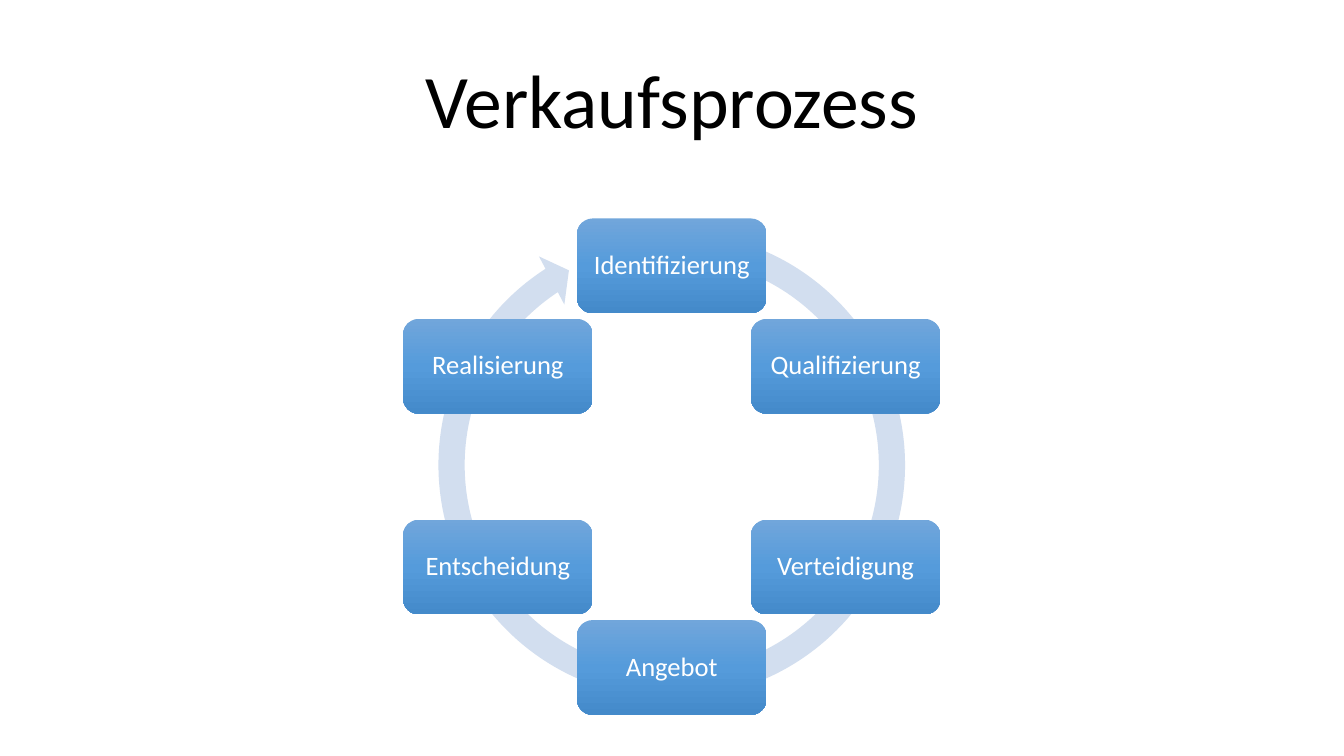
"""Build the slide showing the sales process as a cycle of six steps."""
from copy import deepcopy
from dataclasses import dataclass
from math import cos, radians, sin

from pptx import Presentation
from pptx.dml.color import RGBColor
from pptx.enum.shapes import MSO_SHAPE
from pptx.enum.text import MSO_ANCHOR, MSO_AUTO_SIZE, PP_ALIGN
from pptx.oxml.ns import qn
from pptx.shapes.autoshape import Shape
from pptx.shapes.shapetree import GroupShapes
from pptx.util import Cm, Pt

FONT = "Calibri"
CENTER_X, CENTER_Y, RADIUS = 16.93, 11.76, 5.06
RING_SIZE, RING_CENTER_Y = 12.47, 11.72
BOX_WIDTH, BOX_HEIGHT = 4.78, 2.39
BOX_GRADIENT = ((0, "71A6DB"), (0.5, "559BDB"), (1, "448ACA"))
DEGREE = 0.6


@dataclass(frozen=True)
class Step:
    """A step of the sales process and its clockwise angle from the top."""
    label: str
    angle: float


LABELS = ("Identifizierung", "Qualifizierung", "Verteidigung",
          "Angebot", "Entscheidung", "Realisierung")
STEPS = [Step(label, index * 360 / len(LABELS)) for index, label in enumerate(LABELS)]


def color(value: str) -> RGBColor:
    """Turn a hex string into a colour."""
    return RGBColor.from_string(value)


def set_text(shape: Shape, text: str, size: float, hex_color: str,
             anchor: MSO_ANCHOR) -> None:
    """Write one centred paragraph into a shape."""
    frame = shape.text_frame
    frame.text = text
    frame.word_wrap = True
    frame.auto_size = MSO_AUTO_SIZE.NONE
    frame.vertical_anchor = anchor
    paragraph = frame.paragraphs[0]
    paragraph.alignment = PP_ALIGN.CENTER
    paragraph.line_spacing = 0.9
    font = paragraph.runs[0].font
    font.name, font.size = FONT, Pt(size)
    font.color.rgb = color(hex_color)


def add_centered(shapes: GroupShapes, kind: MSO_SHAPE, center_x: float,
                 center_y: float, width: float, height: float) -> Shape:
    """Add a plain shape around a centre given in centimetres."""
    shape = shapes.add_shape(kind, Cm(center_x - width / 2), Cm(center_y - height / 2),
                             Cm(width), Cm(height))
    shape.shadow.inherit = False
    shape.line.fill.background()
    return shape


def fill_gradient(shape: Shape) -> None:
    """Fill a shape with the three-colour gradient from top to bottom."""
    shape.fill.gradient()
    shape.fill.gradient_angle = 270
    stop_list = shape._element.spPr.find(".//" + qn("a:gsLst"))
    stop_list.append(deepcopy(stop_list[-1]))
    for stop, (position, hex_color) in zip(shape.fill.gradient_stops, BOX_GRADIENT):
        stop.position = position
        stop.color.rgb = color(hex_color)


def add_ring(shapes: GroupShapes) -> None:
    """Add the circular arrow behind the steps."""
    ring = add_centered(shapes, MSO_SHAPE.CIRCULAR_ARROW, CENTER_X, RING_CENTER_Y,
                        RING_SIZE, RING_SIZE)
    ring.fill.solid()
    ring.fill.fore_color.rgb = color("D2DEEF")
    settings = (0.053, 5.21 * DEGREE, 236.95 * DEGREE, 285.56 * DEGREE, 0.055)
    for index, value in enumerate(settings):
        ring.adjustments[index] = value


def add_step(shapes: GroupShapes, step: Step) -> None:
    """Add the box of one step on the circle."""
    angle = radians(step.angle)
    box = add_centered(shapes, MSO_SHAPE.ROUNDED_RECTANGLE,
                       CENTER_X + RADIUS * sin(angle), CENTER_Y - RADIUS * cos(angle),
                       BOX_WIDTH, BOX_HEIGHT)
    fill_gradient(box)
    set_text(box, step.label, 19, "FFFFFF", MSO_ANCHOR.MIDDLE)
    frame = box.text_frame
    frame.margin_left = frame.margin_right = Cm(0.2)
    frame.margin_top = frame.margin_bottom = Cm(0.2)


def main() -> None:
    """Build and save the deck."""
    deck = Presentation()
    deck.slide_width, deck.slide_height = Cm(33.87), Cm(19.05)
    page = deck.slides.add_slide(deck.slide_layouts[5])
    title = page.shapes.title
    title.left, title.top = Cm(4.23), Cm(1.52)
    title.width, title.height = Cm(25.4), Cm(2.26)
    set_text(title, "Verkaufsprozess", 54, "000000", MSO_ANCHOR.BOTTOM)
    cycle = page.shapes.add_group_shape().shapes
    add_ring(cycle)
    for step in STEPS:
        add_step(cycle, step)
    deck.save("out.pptx")


main()
